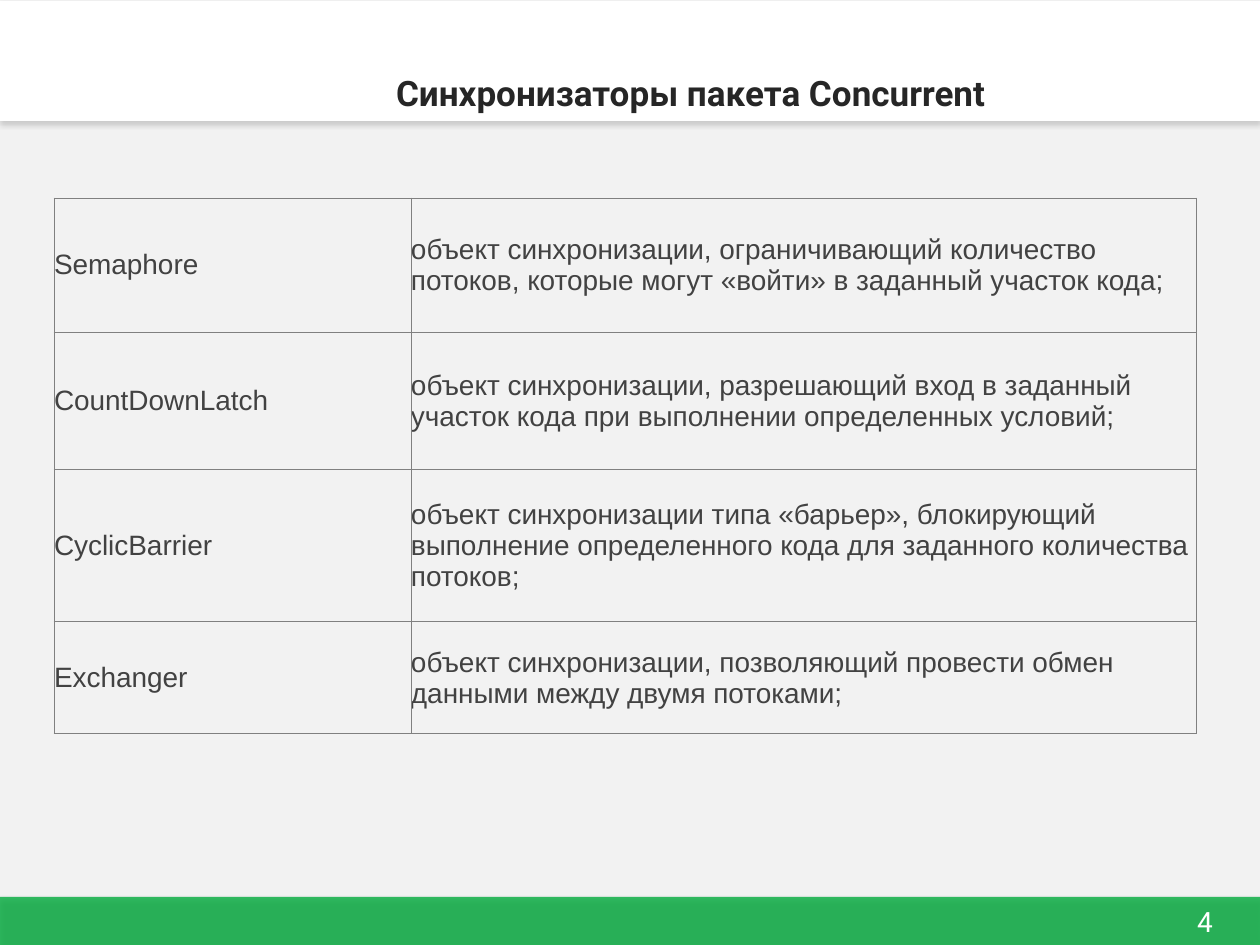
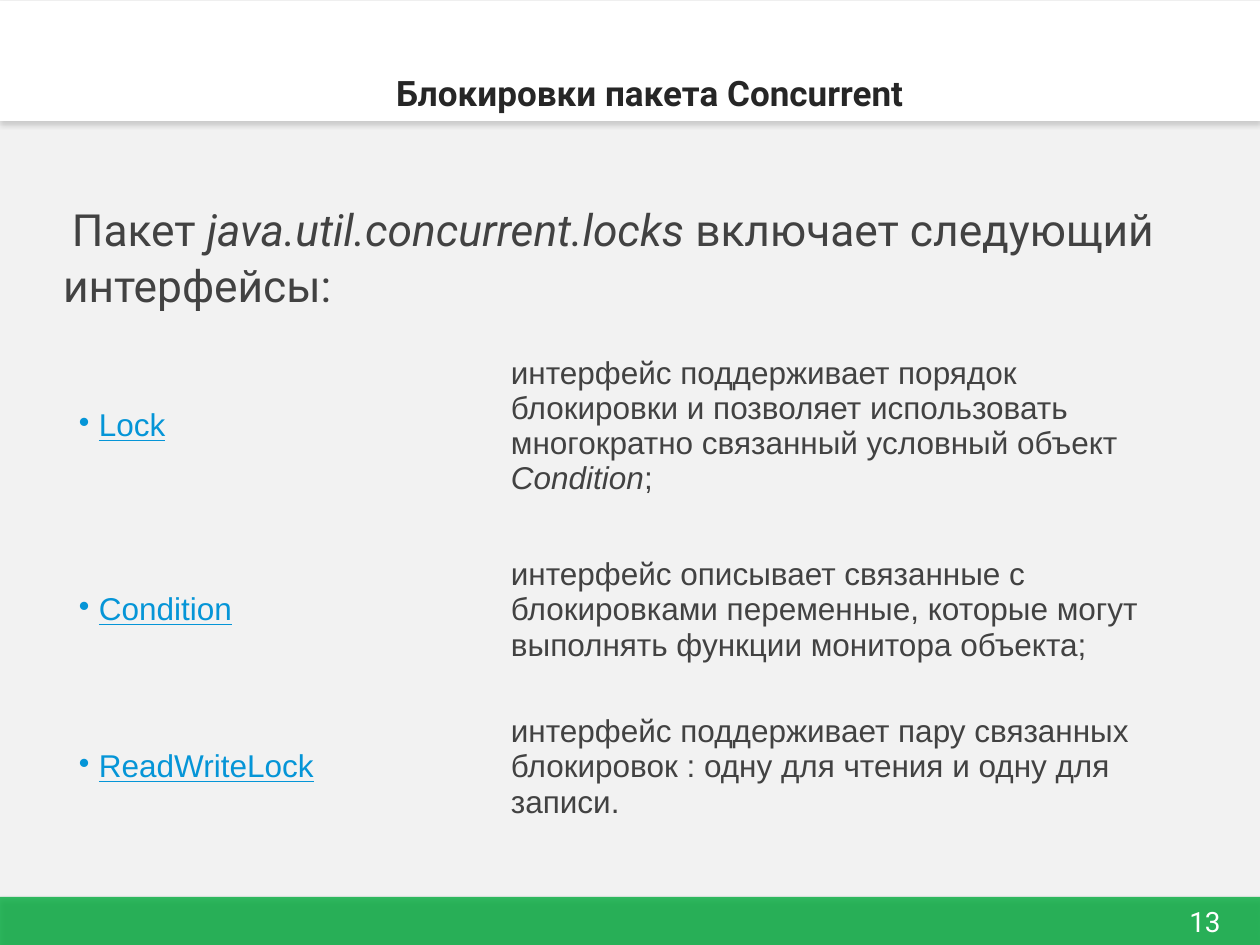
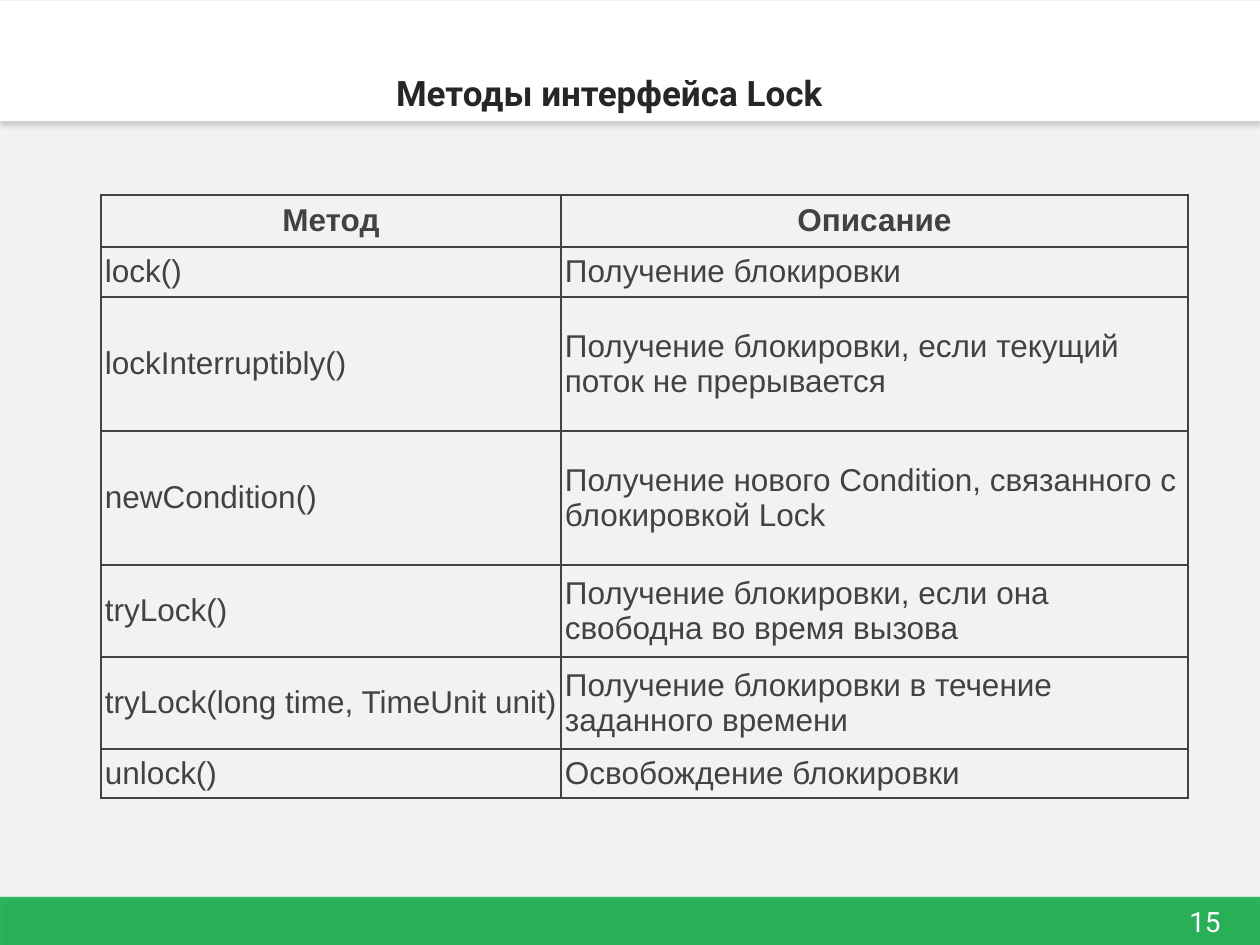
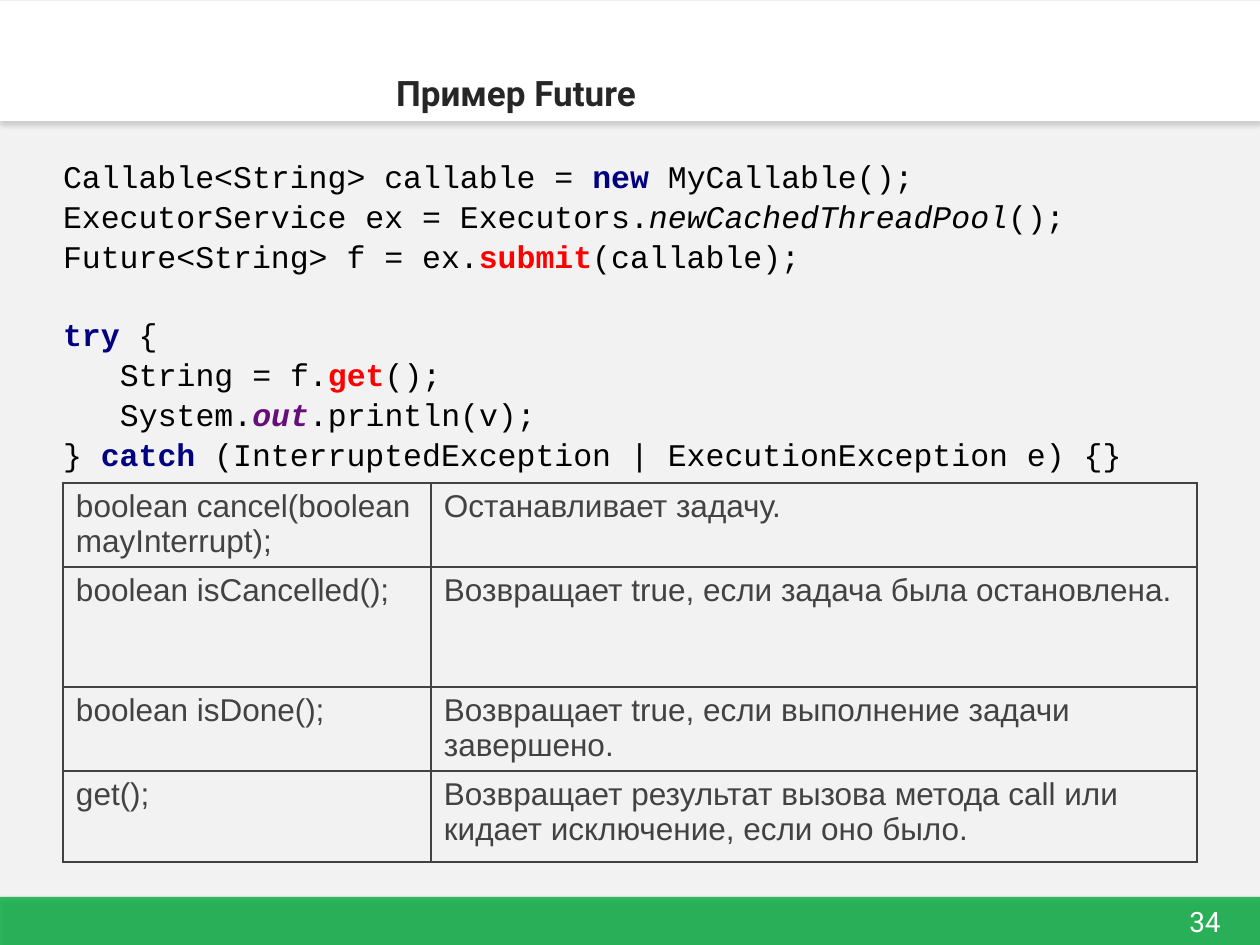
"""Builds four slides on the synchronizers and locks of the Concurrent package."""
from lxml import etree
from pptx import Presentation
from pptx.dml.color import RGBColor
from pptx.enum.shapes import MSO_SHAPE as SHAPE
from pptx.enum.text import MSO_ANCHOR as ANCHOR, MSO_AUTO_SIZE as AUTO, PP_ALIGN as ALIGN
from pptx.oxml import parse_xml
from pptx.oxml.ns import nsdecls, qn
from pptx.util import Emu, Pt

GREY, DARK, GREEN, WHITE = "424242", "262626", "13B14A", "FFFFFF"
NO_STYLE = "{2D5ABB26-0587-4C30-8999-92F81FD0307C}"
TITLE_BOX = (383, -1, 814, 121)
NUMBER_BOX = (1162, 898, 86, 47)
BANDS = [
    dict(box=(0, 897, 1260, 48), color=GREEN, alpha=86, shadow="000000"),
    dict(box=(0, 1, 1260, 120), color=WHITE, alpha=100, shadow="808080"),
]

ITALIC = dict(italic=True)
LINK = dict(color="0595D7", underline=True)
KEYWORD = dict(color="000080", bold=True)
CALL = dict(color="FF0000", bold=True)
FIELD = dict(color="660E7A", bold=True, italic=True)
BULLET = dict(margin=20, indent=-20, bullet="•")
HEAD = dict(bold=True, align=ALIGN.CENTER)
CODE = dict(size=18, font="Courier New", color="000000", spacing=1.06)
NESTED = dict(margin=57)
AFTER_GAP = dict(before=21.5)
INTRO = dict(size=25.3, font="Roboto", indent=9, spacing=1.06)

SLIDES = [
    dict(
        number=4, title="Синхронизаторы пакета Concurrent",
        table=dict(
            at=(54, 198), cols=(357, 785), rows=(134, 138, 152, 112),
            inset=(0, 0), size=16, border=("808080", 0.6),
            cells=[
                ("Semaphore", "объект синхронизации, ограничивающий количество потоков, "
                 "которые могут «войти» в заданный участок кода;"),
                ("CountDownLatch", "объект синхронизации, разрешающий вход в заданный "
                 "участок кода при выполнении определенных условий;"),
                ("CyclicBarrier", "объект синхронизации типа «барьер», блокирующий "
                 "выполнение определенного кода для заданного количества потоков;"),
                ("Exchanger", "объект синхронизации, позволяющий провести обмен данными "
                 "между двумя потоками;"),
            ]),
    ),
    dict(
        number=13, title="Блокировки пакета Concurrent",
        body=dict(
            box=(63, 199, 1134, 656), style=INTRO,
            lines=[(["Пакет ", ("java.util.concurrent.locks ", ITALIC),
                     "включает следующий интерфейсы:"], {})]),
        table=dict(
            at=(74, 334), cols=(432, 690), rows=(184, 184, 130), inset=(5, 3),
            first_col=BULLET,
            cells=[
                ([("Lock", LINK)],
                 ["интерфейс поддерживает порядок блокировки и позволяет использовать "
                  "многократно связанный условный объект ", ("Condition", ITALIC), ";"]),
                ([("Condition", LINK)],
                 "интерфейс описывает связанные с блокировками переменные, которые могут "
                 "выполнять функции монитора объекта;"),
                ([("ReadWriteLock", LINK)],
                 "интерфейс поддерживает пару связанных блокировок : одну для чтения "
                 "и одну для записи."),
            ]),
    ),
    dict(
        number=15, title="Методы интерфейса Lock",
        table=dict(
            at=(101, 195), cols=(460, 627), rows=(52, 50, 134, 134, 92, 92, 49),
            inset=(4, 4), border=(GREY, 1), first_row=HEAD,
            cells=[
                ("Метод", "Описание"),
                ("lock()", "Получение блокировки"),
                ("lockInterruptibly()", "Получение блокировки, если текущий поток не прерывается"),
                ("newCondition()", "Получение нового Condition, связанного с блокировкой Lock"),
                ("tryLock()", "Получение блокировки, если она свободна во время вызова"),
                ("tryLock(long time, TimeUnit unit)", "Получение блокировки в течение заданного времени"),
                ("unlock()", "Освобождение блокировки"),
            ]),
    ),
    dict(
        number=34, title="Пример Future",
        body=dict(
            box=(63, 155, 1134, 700), style=CODE,
            lines=[
                (["Callable<String> callable = ", ("new ", KEYWORD), "MyCallable();"], {}),
                (["ExecutorService ex = Executors.", ("newCachedThreadPool", ITALIC), "();"], {}),
                (["Future<String> f = ex.", ("submit", CALL), "(callable);"], {}),
                ([("try ", KEYWORD), "{"], AFTER_GAP),
                (["String = f.", ("get", CALL), "();"], NESTED),
                (["System.", ("out", FIELD), ".println(v);"], NESTED),
                (["} ", ("catch ", KEYWORD),
                  "(InterruptedException | ExecutionException e) {}"], {}),
            ]),
        table=dict(
            at=(63, 483), cols=(368, 766), rows=(84, 120, 84, 91),
            inset=(13, 6), border=(GREY, 1), anchor=ANCHOR.TOP,
            cells=[
                ("boolean cancel(boolean mayInterrupt);", "Останавливает задачу."),
                ("boolean isCancelled();", "Возвращает true, если задача была остановлена."),
                ("boolean isDone();", "Возвращает true, если выполнение задачи завершено."),
                ("get();", "Возвращает результат вызова метода call или кидает исключение, "
                 "если оно было."),
            ]),
    ),
]


def px(n):
    return Emu(round(n * 914400 / 126))


def rgb(color):
    return RGBColor.from_string(color)


def write(p, text, size=18, font="Arial", color=GREY, bold=False, align=ALIGN.LEFT,
          spacing=1.0, before=0, margin=0, indent=0, bullet=None):
    p.alignment, p.line_spacing = align, spacing
    p.space_before, p.space_after = Pt(before), Pt(0)
    pPr = p._p.get_or_add_pPr()
    pPr.set("marL", str(px(margin)))
    pPr.set("indent", str(px(indent)))
    if bullet:
        etree.SubElement(pPr, qn("a:buChar")).set("char", bullet)
    else:
        etree.SubElement(pPr, qn("a:buNone"))
    for part in [text] if isinstance(text, str) else text:
        words, own = (part, {}) if isinstance(part, str) else part
        r = p.add_run()
        r.text = words
        f = r.font
        f.name, f.size = font, Pt(size)
        f.bold = own.get("bold", bold)
        f.italic = own.get("italic", False)
        f.underline = own.get("underline", False)
        f.color.rgb = rgb(own.get("color", color))


def place(sp, box):
    sp.left, sp.top, sp.width, sp.height = map(px, box)


def frame(sp, box, anchor, inset=(13, 6)):
    place(sp, box)
    tf = sp.text_frame
    tf.word_wrap, tf.auto_size, tf.vertical_anchor = True, AUTO.NONE, anchor
    tf.margin_left = tf.margin_right = px(inset[0])
    tf.margin_top = tf.margin_bottom = px(inset[1])
    return tf


def add_bands(master, s):
    tree = master.shapes.element
    for i, band in enumerate(BANDS):
        sp = s.shapes.add_shape(SHAPE.RECTANGLE, *map(px, band["box"]))
        sp.fill.solid()
        sp.fill.fore_color.rgb = rgb(band["color"])
        sp.line.fill.background()
        spPr = sp.element.spPr
        color = spPr.find(qn("a:solidFill"))[0]
        etree.SubElement(color, qn("a:alpha")).set("val", str(band["alpha"] * 1000))
        spPr.append(parse_xml(
            f'<a:effectLst {nsdecls("a")}><a:outerShdw blurRad="{Pt(3.1)}" dist="{Pt(1.8)}" '
            f'dir="5400000" rotWithShape="0"><a:srgbClr val="{band["shadow"]}">'
            f'<a:alpha val="35000"/></a:srgbClr></a:outerShdw></a:effectLst>'))
        tree.insert(2 + i, sp.element)


def add_borders(cell, color, width):
    tcPr = cell._tc.get_or_add_tcPr()
    for i, side in enumerate("LRTB"):
        tcPr.insert(i, parse_xml(
            f'<a:ln{side} {nsdecls("a")} w="{Pt(width)}"><a:solidFill>'
            f'<a:srgbClr val="{color}"/></a:solidFill></a:ln{side}>'))


def add_table(s, at, cols, rows, cells, inset, size=18, border=None,
              anchor=ANCHOR.MIDDLE, first_row=None, first_col=None):
    box = (*at, sum(cols), sum(rows))
    table = s.shapes.add_table(len(rows), len(cols), *map(px, box)).table
    table.first_row = table.horz_banding = False
    table._tbl.tblPr.find(qn("a:tableStyleId")).text = NO_STYLE
    for col, width in zip(table.columns, cols):
        col.width = px(width)
    for i, (row, height) in enumerate(zip(table.rows, rows)):
        row.height = px(height)
        for j, cell in enumerate(row.cells):
            cell.fill.background()
            cell.vertical_anchor = anchor
            cell.margin_left = cell.margin_right = px(inset[0])
            cell.margin_top = cell.margin_bottom = px(inset[1])
            style = (first_row if i == 0 else None) or (first_col if j == 0 else None) or {}
            write(cell.text_frame.paragraphs[0], cells[i][j], size=size, **style)
            if border:
                add_borders(cell, *border)


def add_body(sp, box, style, lines):
    tf = frame(sp, box, ANCHOR.TOP, inset=(0, 0))
    for i, (text, own) in enumerate(lines):
        p = tf.add_paragraph() if i else tf.paragraphs[0]
        write(p, text, **style, **own)


def add_slide(prs, number, title, table, body=None):
    s = prs.slides.add_slide(prs.slide_layouts[1 if body else 5])
    tf = frame(s.shapes.title, TITLE_BOX, ANCHOR.BOTTOM)
    write(tf.paragraphs[0], title, size=20, font="Roboto", color=DARK, bold=True)
    if body:
        add_body(s.placeholders[1], **body)
    add_table(s, **table)
    box = s.shapes.add_textbox(*map(px, NUMBER_BOX))
    tf = frame(box, NUMBER_BOX, ANCHOR.MIDDLE)
    write(tf.paragraphs[0], str(number), size=16, font="Roboto", color=WHITE, align=ALIGN.CENTER)
    return s


def main():
    prs = Presentation()
    prs.slide_width, prs.slide_height = px(1260), px(945)
    master = prs.slide_master
    master.background.fill.solid()
    master.background.fill.fore_color.rgb = rgb("F2F2F2")
    slides = [add_slide(prs, **content) for content in SLIDES]
    add_bands(master, slides[0])
    prs.save("out.pptx")


if __name__ == "__main__":
    main()
